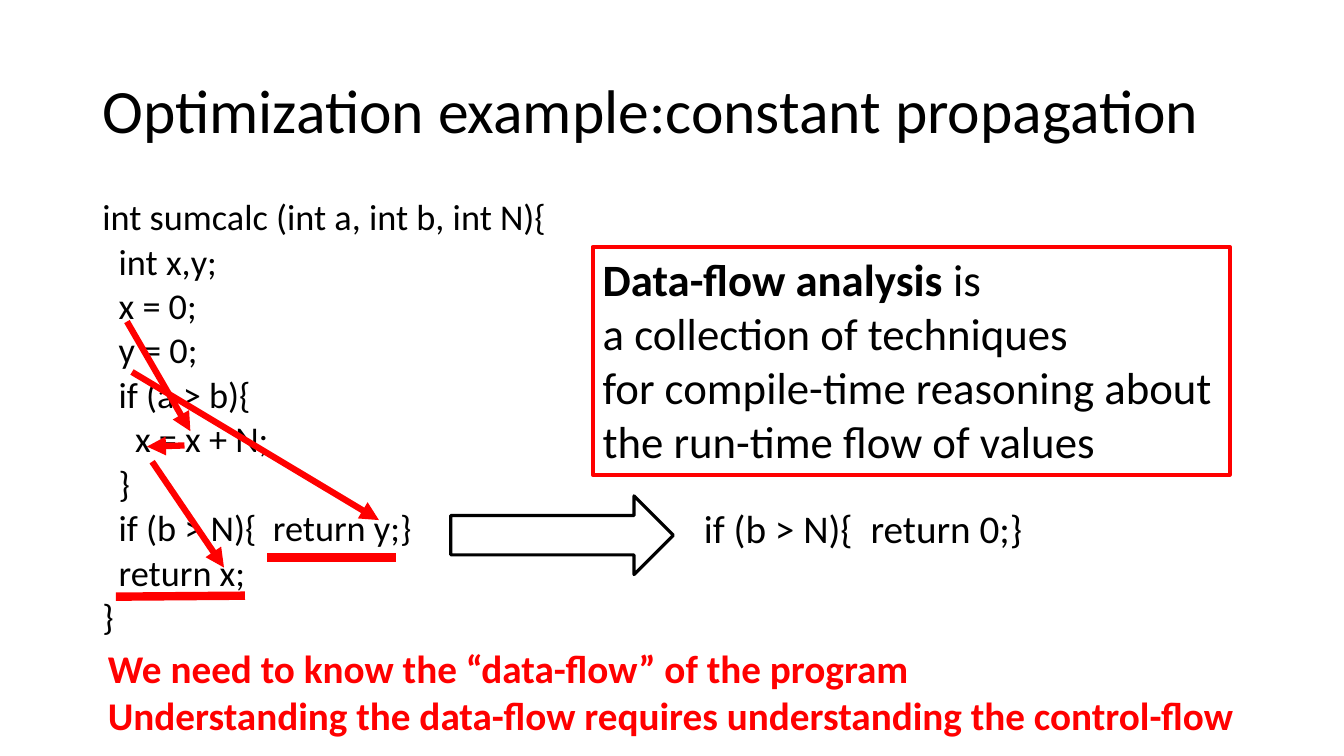
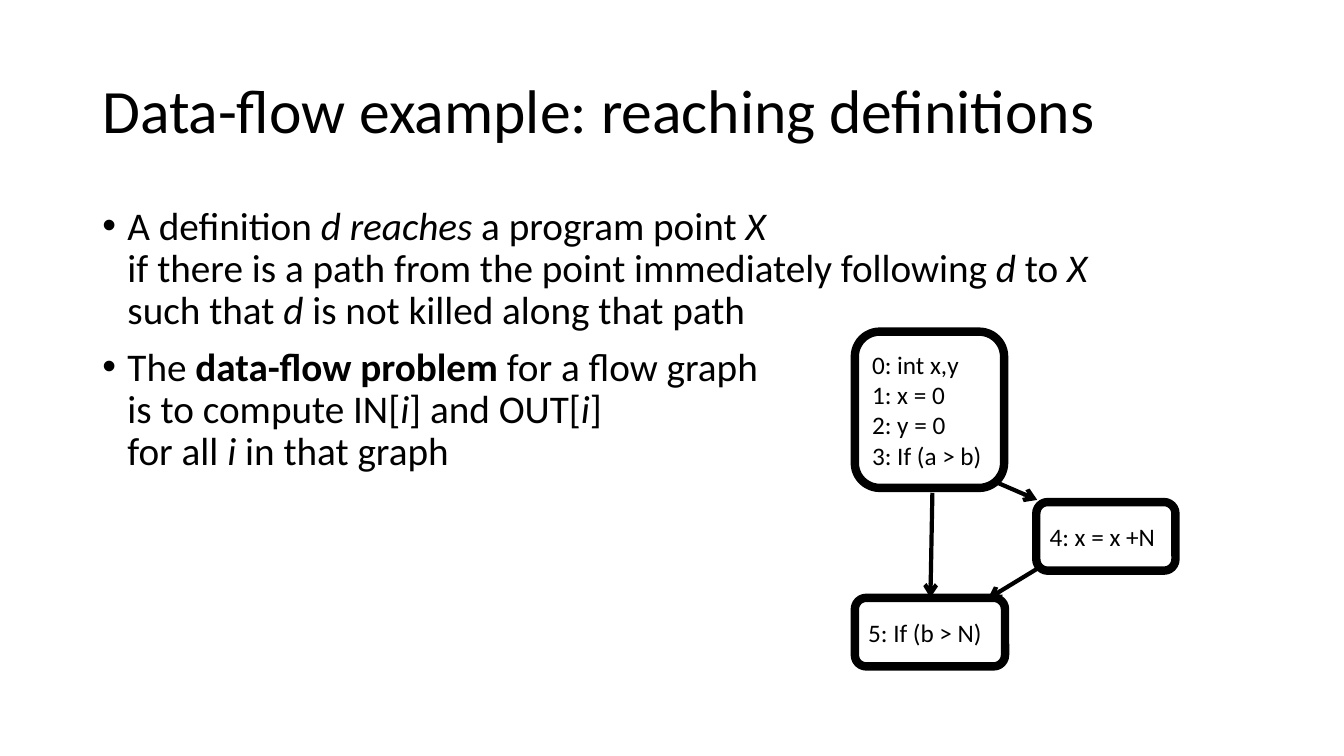
from dataclasses import dataclass

from pptx import Presentation
from pptx.dml.color import RGBColor
from pptx.enum import shapes, text
from pptx.oxml import ns
from pptx.util import Pt
from lxml import etree


@dataclass(frozen=True)
class Theme:
    font: str = "Calibri"
    black: RGBColor = RGBColor(0, 0, 0)
    white: RGBColor = RGBColor(255, 255, 255)
    red: RGBColor = RGBColor(255, 0, 0)
    title: float = 44
    callout: float = 32
    body: float = 28
    code: float = 25.9
    node: float = 18


THEME = Theme()
BULLET_INDENT = 18


def write_text(shape, paragraphs, size, color=THEME.black, spacing=1.0, before=0,
               anchor=text.MSO_ANCHOR.TOP, bullet=False):
    """Each paragraph is (left indent, [(words, style), ...]); style is "", "b" or "i"."""
    frame = shape.text_frame
    frame.word_wrap = True
    frame.vertical_anchor = anchor
    for index, (indent, pieces) in enumerate(paragraphs):
        paragraph = frame.add_paragraph() if index else frame.paragraphs[0]
        paragraph.alignment = text.PP_ALIGN.LEFT
        paragraph.line_spacing = spacing
        paragraph.space_before = Pt(before)
        properties = paragraph._p.get_or_add_pPr()
        properties.set("marL", str(Pt(indent)))
        if bullet:
            properties.set("indent", str(Pt(-indent)))
            etree.SubElement(properties, ns.qn("a:buFont")).set("typeface", "Arial")
            etree.SubElement(properties, ns.qn("a:buChar")).set("char", "•")
        for words, style in pieces:
            for line_number, line in enumerate(words.split("\n")):
                if line_number:
                    paragraph.add_line_break()
                if not line:
                    continue
                run = paragraph.add_run()
                run.text = line
                run.font.name = THEME.font
                run.font.size = Pt(size)
                run.font.color.rgb = color
                run.font.bold = style == "b"
                run.font.italic = style == "i"


def add_line(slide, start, end, color, width, head=None):
    line = slide.shapes.add_connector(
        shapes.MSO_CONNECTOR.STRAIGHT, *[Pt(value) for value in (*start, *end)])
    line.line.color.rgb = color
    line.line.width = Pt(width)
    properties = line._element.spPr
    if head:
        outline = properties.find(ns.qn("a:ln"))
        etree.SubElement(outline, ns.qn("a:tailEnd")).set("type", head)
    etree.SubElement(properties, ns.qn("a:effectLst"))


presentation = Presentation()
presentation.slide_width = Pt(960)
presentation.slide_height = Pt(540)

# Slides with their shared title style
slides = []
for title in ("Optimization example:constant propagation",
              "Data-flow example: reaching definitions"):
    slide = presentation.slides.add_slide(presentation.slide_layouts[6])
    title_box = slide.shapes.add_textbox(Pt(66), Pt(28.75), Pt(828), Pt(104.4))
    write_text(title_box, [(0, [(title, "")])], THEME.title, spacing=0.9,
               anchor=text.MSO_ANCHOR.MIDDLE)
    slides.append(slide)
propagation, reaching = slides

# Source code, one nesting level per indent step
code_step = 11.7
code_lines = [
    (0, "int sumcalc (int a, int b, int N){"),
    (1, "int x,y;"),
    (1, "x = 0;"),
    (1, "y = 0;"),
    (1, "if (a > b){"),
    (2, "x = x + N;"),
    (1, "}"),
    (1, "if (b > N){  return y;}"),
    (1, "return x;"),
    (0, "}"),
]
code_box = propagation.shapes.add_textbox(Pt(66), Pt(143.75), Pt(405), Pt(342.6))
write_text(code_box, [(level * code_step, [(line, "")]) for level, line in code_lines],
           THEME.code, spacing=0.7, before=10)

# Flow of values through the code
for start, end in [((90.7, 229.7), (136, 308)), ((131.8, 318.2), (105, 319)),
                   ((108.7, 329.8), (160, 405.4)), ((94.3, 265.7), (270.7, 371.5))]:
    add_line(propagation, start, end, THEME.red, 4.5, "triangle")

# Underlined return statements
for start, end in [((82.8, 426.2), (175, 425.5)), ((190.8, 398.2), (283, 398.2))]:
    add_line(propagation, start, end, THEME.red, 6)

# Optimized statement
result_box = propagation.shapes.add_textbox(Pt(483), Pt(360.7), Pt(312), Pt(49.7))
write_text(result_box, [(12.7, [("if (b > N){  return 0;}", "")])], THEME.body,
           spacing=0.9, before=10)
arrow = propagation.shapes.add_shape(
    shapes.MSO_SHAPE.RIGHT_ARROW, Pt(322), Pt(354.2), Pt(159), Pt(56.2))
arrow.shadow.inherit = False
arrow.fill.solid()
arrow.fill.fore_color.rgb = THEME.white
arrow.line.color.rgb = THEME.black
arrow.line.width = Pt(2.25)

# Conclusion
conclusion = ["We need to know the “data-flow” of the program",
              "Understanding the data-flow requires understanding the control-flow"]
conclusion_box = propagation.shapes.add_textbox(Pt(70), Pt(457), Pt(847), Pt(75))
write_text(conclusion_box, [(0, [(line, "b")]) for line in conclusion],
           THEME.body, THEME.red)

# Framed definition
callout = propagation.shapes.add_textbox(Pt(423.4), Pt(176.4), Pt(455), Pt(162.7))
callout.line.color.rgb = THEME.red
callout.line.width = Pt(3)
write_text(callout, [(0, [
    ("Data-flow analysis ", "b"),
    ("is\na collection of techniques\nfor compile-time reasoning about\n"
     "the run-time flow of values", ""),
])], THEME.callout)

# Bulleted definitions
definitions = [
    [("A definition ", ""), ("d reaches ", "i"), ("a program point ", ""), ("X", "i"),
     ("\nif there is a path from the point immediately following ", ""),
     ("d ", "i"), ("to ", ""), ("X", "i"), ("\nsuch that ", ""), ("d ", "i"),
     ("is not killed along that path", "")],
    [("The ", ""), ("data-flow problem ", "b"),
     ("for a flow graph\nis to compute IN[", ""), ("i", "i"), ("] and OUT[", ""),
     ("i", "i"), ("]\nfor all ", ""), ("i ", "i"), ("in that graph", "")],
]
definition_box = reaching.shapes.add_textbox(Pt(66), Pt(143.75), Pt(828), Pt(342.6))
write_text(definition_box, [(BULLET_INDENT, pieces) for pieces in definitions],
           THEME.body, spacing=0.9, before=10, bullet=True)

# Flow graph nodes
nodes = [
    ((610.6, 236.9, 106.6, 111.6), ["0: int x,y", "1: x = 0", "2: y = 0", "3: If (a > b)"]),
    ((740.2, 358.6, 99.4, 49), ["4: x = x +N"]),
    ((610.6, 427, 107.3, 49), ["5: If (b > N)"]),
]
for bounds, statements in nodes:
    node = reaching.shapes.add_shape(
        shapes.MSO_SHAPE.ROUNDED_RECTANGLE, *[Pt(value) for value in bounds])
    node.shadow.inherit = False
    node.fill.background()
    node.line.color.rgb = THEME.black
    node.line.width = Pt(6)
    write_text(node, [(0, [(statement, "")]) for statement in statements],
               THEME.node, anchor=text.MSO_ANCHOR.MIDDLE)

# Flow graph edges
for start, end in [((709.2, 343.4), (740.9, 357.1)), ((666, 352), (664.6, 427)),
                   ((742.3, 405.4), (705.6, 427.7))]:
    add_line(reaching, start, end, THEME.black, 3, "arrow")

presentation.save("out.pptx")
